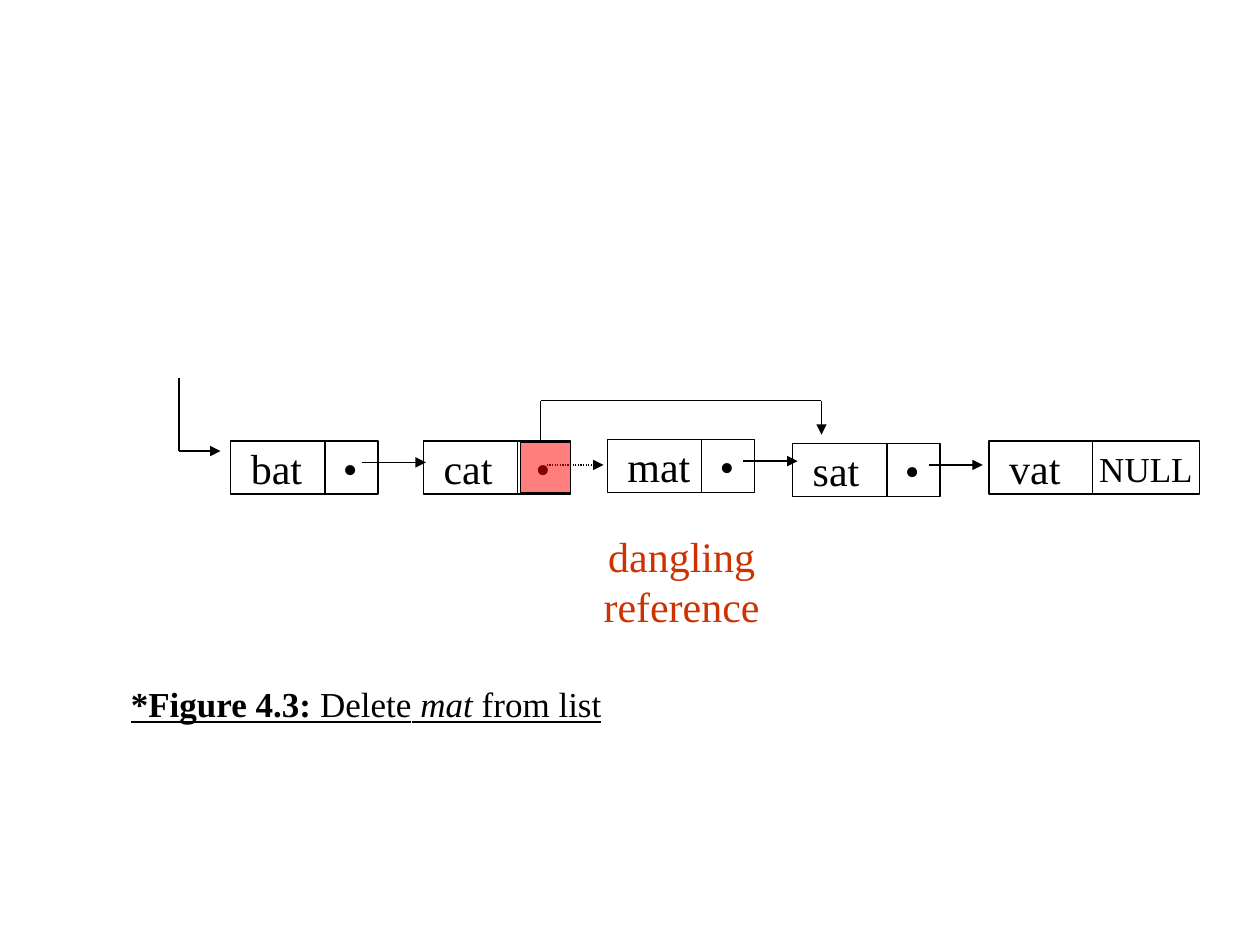
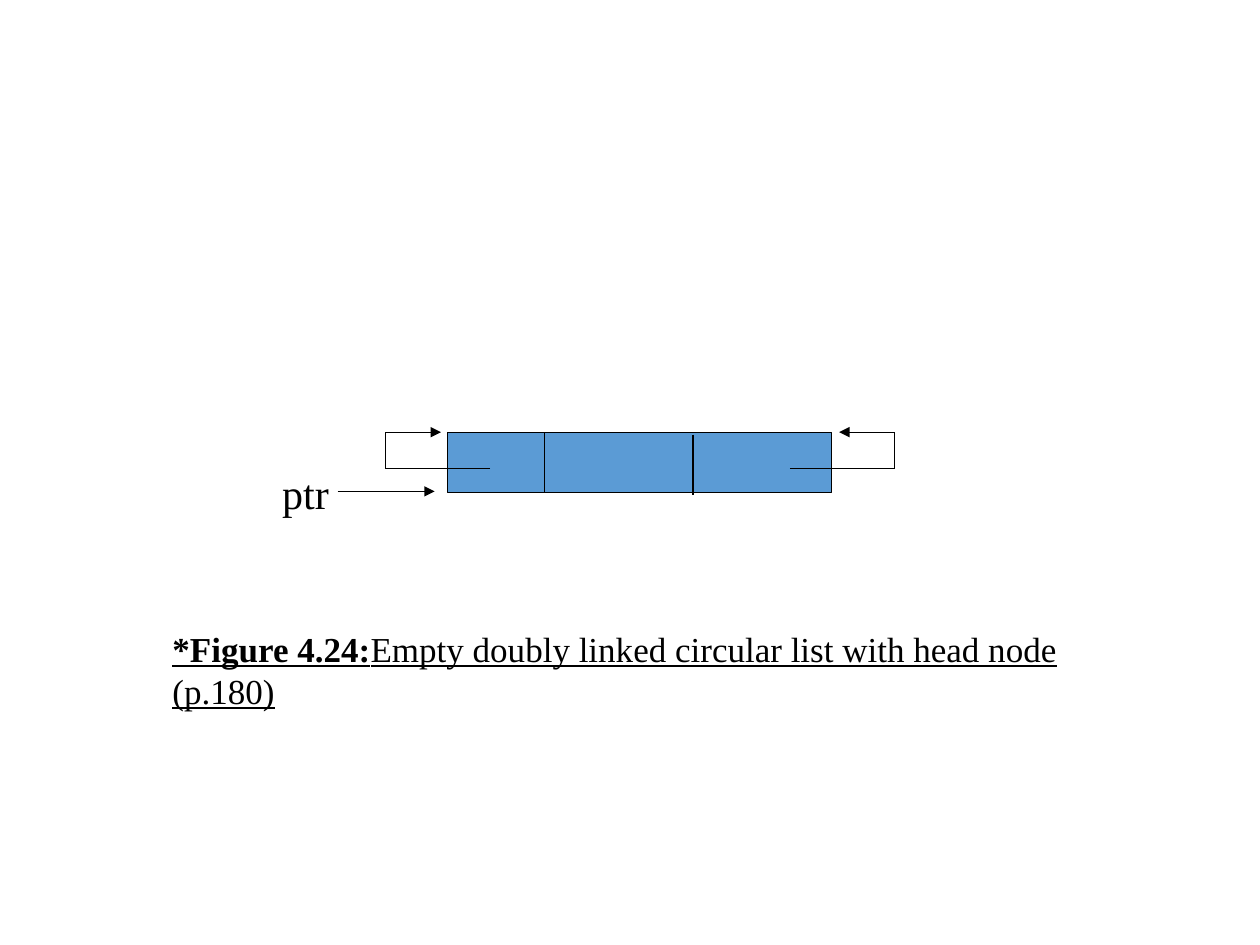
from itertools import pairwise

from lxml import etree
from pptx import Presentation, util as u
from pptx.dml.color import RGBColor
from pptx.enum import dml, shapes, text
from pptx.oxml.ns import qn

BLACK = RGBColor(0x00, 0x00, 0x00)
RED = RGBColor(0xFF, 0x00, 0x00)
RUST = RGBColor(0xCC, 0x33, 0x00)
BLUE = RGBColor(0x5B, 0x9B, 0xD5)
FONT = "Times New Roman"
BODY, SMALL = 24, 20
HEIGHT = 0.42  # list node

# Deleting from a list: word, pointer, left, top, width, divider offset
NODES = [
    ("bat", "•", 1.83, 3.5, 1.17, 0.75),
    ("cat", "•", 3.36, 3.5, 1.17, 0.75),
    ("mat", "•", 4.82, 3.49, 1.17, 0.75),
    ("sat", "•", 6.29, 3.52, 1.17, 0.75),
    ("vat", "NULL", 7.85, 3.5, 1.67, 0.82),
]
LIST_ARROWS = [
    [(1.42, 3), (1.42, 3.58), (1.75, 3.58)],
    [(2.87, 3.67), (3.38, 3.67)],
    [(5.9, 3.66), (6.33, 3.66)],
    [(7.37, 3.69), (7.8, 3.69)],
    [(4.29, 3.5), (4.29, 3.18), (6.52, 3.18), (6.52, 3.45)],
]
DELETED_LINK = [(4.34, 3.69), (4.79, 3.69)]
CHANGED_FIELD = (4.13, 3.51, 0.4, 0.4)
DANGLING = ["dangling", "reference"]
DELETE_CAPTION = [("*Figure 4.3: ", "b"), ("Delete", ""),
                  (" mat", "i"), (" from list", "")]

# Empty circular list
HEAD = (3.55, 3.43, 3.05, 0.48)
HEAD_DIVIDERS = [(4.32, 3.43), (5.5, 3.45)]
HEAD_ARROWS = [
    [(6.27, 3.72), (7.1, 3.72), (7.1, 3.43), (6.66, 3.43)],
    [(3.89, 3.72), (3.06, 3.72), (3.06, 3.43), (3.5, 3.43)],
    [(2.68, 3.9), (3.45, 3.9)],
]
EMPTY_CAPTION = [
    ("*Figure 4.24:", "b"),
    ("Empty doubly linked circular list with head node (p.180)", "")]


def add_box(slide, box, fill=None, alpha=None):
    sp = slide.shapes.add_shape(shapes.MSO_SHAPE.RECTANGLE, *map(u.Inches, box))
    sp.shadow.inherit = False
    sp.line.color.rgb, sp.line.width = BLACK, u.Pt(0.75)
    if fill is None:
        sp.fill.background()
        return
    sp.fill.solid()
    sp.fill.fore_color.rgb = fill
    if alpha:
        color = sp.fill._xPr.find(qn("a:solidFill"))[0]
        etree.SubElement(color, qn("a:alpha")).set("val", str(alpha * 1000))


def add_path(slide, points, arrow=True, dotted=False):
    """Join the points with straight lines, with an arrowhead on the last."""
    for start, end in pairwise(points):
        line = slide.shapes.add_connector(
            shapes.MSO_CONNECTOR.STRAIGHT, *map(u.Inches, start + end))
        line.line.color.rgb, line.line.width = BLACK, u.Pt(0.75)
        if dotted:
            line.line.dash_style = dml.MSO_LINE.ROUND_DOT
        etree.SubElement(line._element.spPr, qn("a:effectLst"))
    if arrow:
        ln = line.line._get_or_add_ln()
        etree.SubElement(ln, qn("a:tailEnd")).set("type", "triangle")


def add_text(slide, box, paragraphs, size=BODY, color=BLACK, margin=0,
             align=text.PP_ALIGN.LEFT, underline=None):
    """Each paragraph is a list of (text, style) runs; style holds b or i."""
    tf = slide.shapes.add_textbox(*map(u.Inches, box)).text_frame
    tf.word_wrap = True
    tf.margin_left = tf.margin_right = u.Inches(margin)
    for i, runs in enumerate(paragraphs):
        p = tf.add_paragraph() if i else tf.paragraphs[0]
        p.alignment = align
        for words, style in runs:
            r = p.add_run()
            r.text = words
            f = r.font
            f.name, f.size, f.color.rgb = FONT, u.Pt(size), color
            f.bold, f.italic, f.underline = "b" in style, "i" in style, underline


def add_caption(slide, left, top, width, runs):
    add_text(slide, (left, top, width, 0.44), [runs], SMALL, margin=0.1,
             underline=True)


def add_node(slide, word, pointer, left, top, width, divider):
    add_box(slide, (left, top, width, HEIGHT))
    x = left + divider
    add_path(slide, [(x, top), (x, top + HEIGHT)], arrow=False)
    add_text(slide, (left + 0.16, top - 0.04, divider - 0.16, 0.5), [[(word, "")]])
    # Pointer field: a dot sits left of its middle, NULL fills it
    is_null = pointer == "NULL"
    field = width - divider if is_null else 0.4
    add_text(slide, (x, top - (0 if is_null else 0.04), field, 0.5),
             [[(pointer, "")]], SMALL if is_null else BODY,
             align=text.PP_ALIGN.CENTER)


def build_delete_slide(slide):
    for node in NODES:
        add_node(slide, *node)
    for points in LIST_ARROWS:
        add_path(slide, points)
    add_path(slide, DELETED_LINK, dotted=True)
    add_caption(slide, 0.94, 5.37, 3.96, DELETE_CAPTION)
    add_box(slide, CHANGED_FIELD, RED, alpha=50)
    add_text(slide, (4.69, 4.16, 1.44, 0.9), [[(w, "")] for w in DANGLING],
             color=RUST, align=text.PP_ALIGN.CENTER)


def build_empty_slide(slide):
    add_box(slide, HEAD, BLUE)
    for x, y in HEAD_DIVIDERS:
        add_path(slide, [(x, y), (x, y + HEAD[3])], arrow=False)
    for points in HEAD_ARROWS:
        add_path(slide, points)
    add_text(slide, (2.24, 3.66, 0.47, 0.5), [[("ptr", "")]])
    add_caption(slide, 1.27, 4.93, 8.05, EMPTY_CAPTION)


def main():
    prs = Presentation()
    prs.slide_width, prs.slide_height = u.Inches(10), u.Inches(7.5)
    blank = prs.slide_layouts[6]
    for build in (build_delete_slide, build_empty_slide):
        build(prs.slides.add_slide(blank))
    prs.save("out.pptx")


if __name__ == "__main__":
    main()
